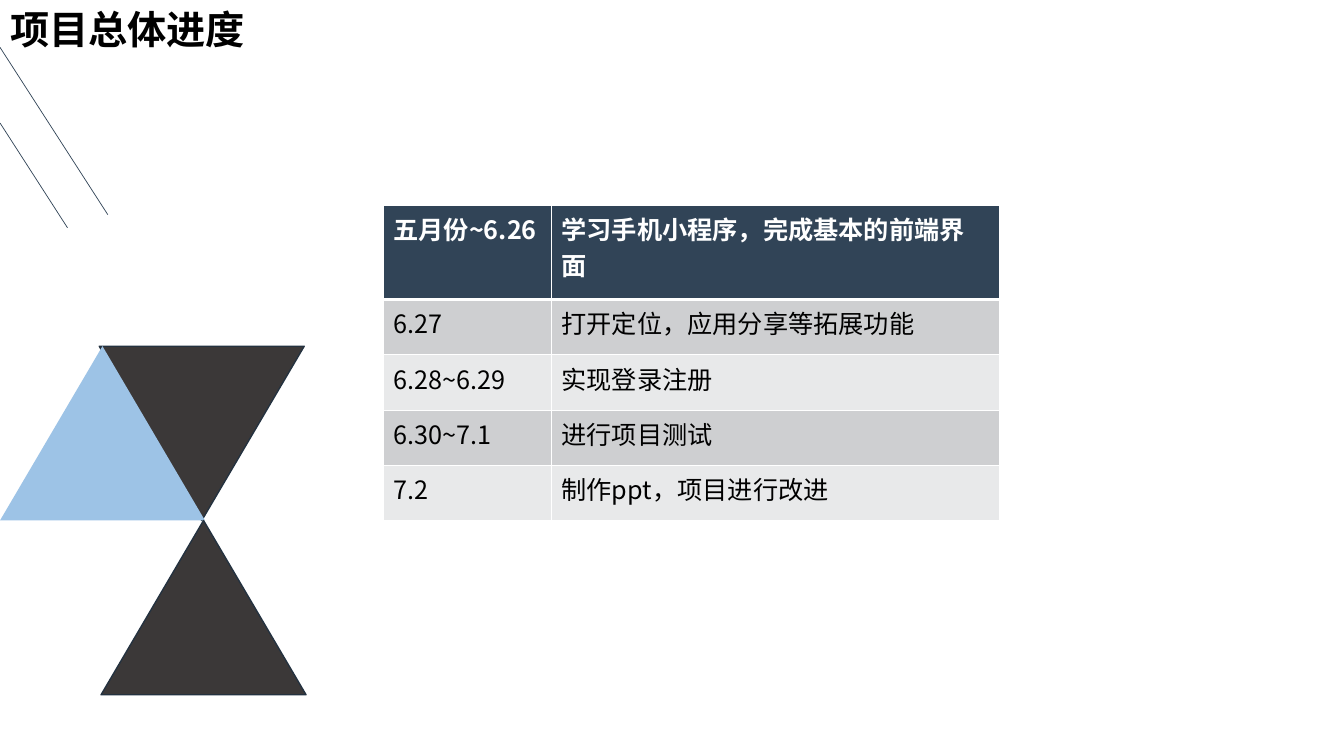
"""Build the overall project schedule slide."""
from lxml.etree import SubElement
from pptx import Presentation
from pptx.dml.color import RGBColor
from pptx.enum.shapes import MSO_CONNECTOR, MSO_SHAPE
from pptx.enum.text import MSO_ANCHOR, MSO_AUTO_SIZE, PP_ALIGN
from pptx.oxml.ns import qn
from pptx.util import Pt

COLORS = {"navy": "314457", "charcoal": "3B3838", "outline": "243240", "sky": "9DC3E6",
          "odd": "CECFD1", "even": "E8E9EA", "white": "FFFFFF", "black": "000000"}
FONT = "Noto Sans CJK SC"


def rgb(name):
    return RGBColor.from_string(COLORS[name])


def style(paragraph, size, color, bold):
    font = paragraph.font
    font.size, font.bold, font.name = Pt(size), bold, FONT
    font.color.rgb = rgb(color)
    defaults = paragraph._p.pPr.find(qn("a:defRPr"))
    SubElement(defaults, qn("a:ea"), typeface=FONT)


prs = Presentation()
prs.slide_width, prs.slide_height = Pt(960), Pt(540)
slide = prs.slides.add_slide(prs.slide_layouts[5])

for start_y, end_x, end_y in [(33.84, 77.04, 153.36), (87.84, 48.24, 162.72)]:
    diagonal = slide.shapes.add_connector(
        MSO_CONNECTOR.STRAIGHT, Pt(0), Pt(start_y), Pt(end_x), Pt(end_y))
    diagonal.line.color.rgb = rgb("navy")
    diagonal.line.width = Pt(0.5)
    SubElement(diagonal._element.spPr, qn("a:effectLst"))

for left, top, rotation, fill, outline in [
        (70.9, 247.3, 180, "charcoal", "outline"),
        (0, 247.3, 0, "sky", None),
        (72.2, 371.8, 0, "charcoal", "outline")]:
    triangle = slide.shapes.add_shape(
        MSO_SHAPE.ISOSCELES_TRIANGLE, Pt(left), Pt(top), Pt(146.4), Pt(124.5))
    triangle.rotation = rotation
    triangle.shadow.inherit = False
    triangle.fill.solid()
    triangle.fill.fore_color.rgb = rgb(fill)
    if outline:
        triangle.line.color.rgb = rgb(outline)
        triangle.line.width = Pt(1)
    else:
        triangle.line.fill.background()

title = slide.shapes.title
title.left, title.top, title.width, title.height = Pt(0), Pt(0), Pt(216.7), Pt(41)
title.text = "项目总体进度"
title.text_frame.vertical_anchor = MSO_ANCHOR.TOP
title.text_frame.auto_size = MSO_AUTO_SIZE.SHAPE_TO_FIT_TEXT
heading = title.text_frame.paragraphs[0]
heading.alignment = PP_ALIGN.LEFT
style(heading, 28, "black", True)

schedule = [
    ("五月份~6.26", "学习手机小程序，完成基本的前端界面"),
    ("6.27", "打开定位，应用分享等拓展功能"),
    ("6.28~6.29", "实现登录注册"),
    ("6.30~7.1", "进行项目测试"),
    ("7.2", "制作ppt，项目进行改进"),
]
table = slide.shapes.add_table(
    len(schedule), 2, Pt(273.9), Pt(146.4), Pt(440), Pt(225.6)).table
table.columns[0].width, table.columns[1].width = Pt(120), Pt(320)
for row, entry in enumerate(schedule):
    table.rows[row].height = Pt(39.5 if row else 67.6)
    band = ("odd" if row % 2 else "even") if row else "navy"
    for column, text in enumerate(entry):
        cell = table.cell(row, column)
        cell.text = text
        style(cell.text_frame.paragraphs[0], 18, "black" if row else "white", row == 0)
        properties = cell._tc.get_or_add_tcPr()
        for side in ("lnL", "lnR", "lnT", "lnB"):
            thick = (row, side) in [(0, "lnB"), (1, "lnT")]
            border = SubElement(properties, qn(f"a:{side}"), w=str(Pt(3 if thick else 1)))
            SubElement(SubElement(border, qn("a:solidFill")), qn("a:srgbClr"),
                       val=COLORS["white"])
        cell.fill.solid()
        cell.fill.fore_color.rgb = rgb(band)

prs.save("out.pptx")
